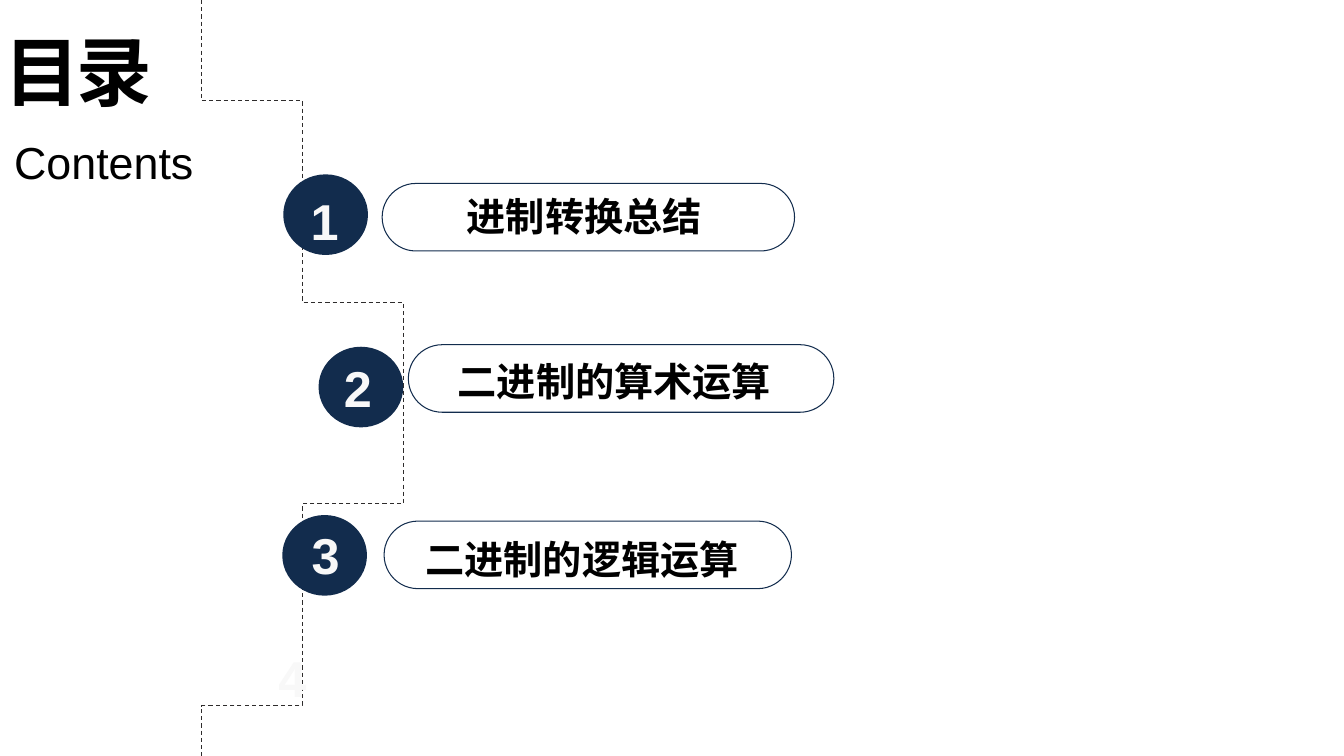
from pptx import Presentation
from pptx.dml.color import RGBColor
from pptx.enum.dml import MSO_LINE
from pptx.enum.shapes import MSO_SHAPE
from pptx.enum.text import MSO_AUTO_SIZE, PP_ALIGN
from pptx.util import Inches, Pt

NAVY = RGBColor(0x12, 0x2C, 0x4D)
BLACK = RGBColor(0, 0, 0)
GREY = RGBColor(0x2E, 0x2C, 0x2C)
PALE = RGBColor(0xF8, 0xF8, 0xF8)
OVAL, PILL = MSO_SHAPE.OVAL, MSO_SHAPE.ROUNDED_RECTANGLE
DASH = MSO_LINE.DASH
GROW = MSO_AUTO_SIZE.SHAPE_TO_FIT_TEXT
JUSTIFY = PP_ALIGN.JUSTIFY


def bezier(ends, steps=40):
    """Points along a cubic curve, start included."""
    a, b, c, d = ends
    for i in range(steps + 1):
        t = i / steps
        u = 1 - t
        yield tuple(u**3 * p + 3 * u * u * t * q + 3 * u * t * t * r + t**3 * s
                    for p, q, r, s in zip(a, b, c, d))


class Page:
    font = "Arial"

    def __init__(self, deck):
        self.slide = deck.slides.add_slide(deck.slide_layouts[6])
        self.shapes = self.slide.shapes

    def curve(self, points):
        first, *rest = points
        pen = self.shapes.build_freeform(*first, scale=Inches(1))
        pen.add_line_segments(rest, close=False)
        arc = pen.convert_to_shape()
        arc.shadow.inherit = False
        arc.fill.background()
        arc.line.color.rgb = GREY
        arc.line.width = Pt(0)
        arc.line.dash_style = DASH

    def shape(self, kind, *box):
        item = self.shapes.add_shape(kind, *map(Inches, box))
        item.shadow.inherit = False
        return item

    def disc(self, *box):
        disc = self.shape(OVAL, *box)
        disc.fill.solid()
        disc.fill.fore_color.rgb = NAVY
        disc.line.fill.background()

    def pill(self, *box):
        pill = self.shape(PILL, *box)
        pill.adjustments[0] = 0.5
        pill.fill.background()
        pill.line.color.rgb = NAVY
        pill.line.width = Pt(0.75)

    def text(self, words, box, size, color=BLACK, bold=True, wrap=False,
             align=None, gap=None):
        frame = self.shapes.add_textbox(*map(Inches, box)).text_frame
        frame.word_wrap = wrap
        frame.auto_size = GROW
        frame.margin_left = frame.margin_right = Inches(0.12)
        frame.margin_top = frame.margin_bottom = Inches(0.06)
        para = frame.paragraphs[0]
        para.alignment = align
        run = para.add_run()
        run.text = words
        font = run.font
        font.name, font.size, font.bold = self.font, Pt(size), bold
        font.color.rgb = color
        if gap is not None:
            font._element.set("spc", str(gap * 100))


def main():
    deck = Presentation()
    deck.slide_width, deck.slide_height = Inches(13.33), Inches(7.5)
    page = Page(deck)

    # Dashed arc, lower half mirrored from the upper
    top = list(bezier([(1.59, -0.13), (2.84, 0.93), (3.6, 2.33), (3.6, 3.85)]))
    low = [(x, 7.7 - y) for x, y in reversed(top[:-1])]
    page.curve(top + low)

    # Heading
    page.text("目录", (-0.08, 0.19, 2.02, 1.03), 54, wrap=True,
              align=JUSTIFY, gap=-2)
    page.text("Contents", (0.02, 1.28, 2.03, 0.66), 32, bold=False)

    # Topics: disc place, pill place and width, label place and width
    topics = [
        ("进制转换总结", (2.81, 1.73), (3.79, 1.82, 4.09), (4.51, 1.85, 2.6)),
        ("二进制的算术运算", (3.16, 3.44), (4.05, 3.42, 4.22), (4.42, 3.48, 3.36)),
        ("二进制的逻辑运算", (2.8, 5.11), (3.81, 5.17, 4.04), (4.1, 5.25, 3.38)),
    ]
    for label, disc, pill, place in topics:
        page.disc(*disc, 0.84, 0.8)
        page.pill(*pill, 0.67)
        page.text(label, (*place, 0.59), 28)

    # Numbers
    spots = [(2.96, 1.83), (3.29, 3.48), (2.97, 5.14), (2.64, 6.36)]
    for num, spot in enumerate(spots, 1):
        page.text(str(num), (*spot, 0.52, 0.73), 36, PALE)

    deck.save("out.pptx")


if __name__ == "__main__":
    main()
